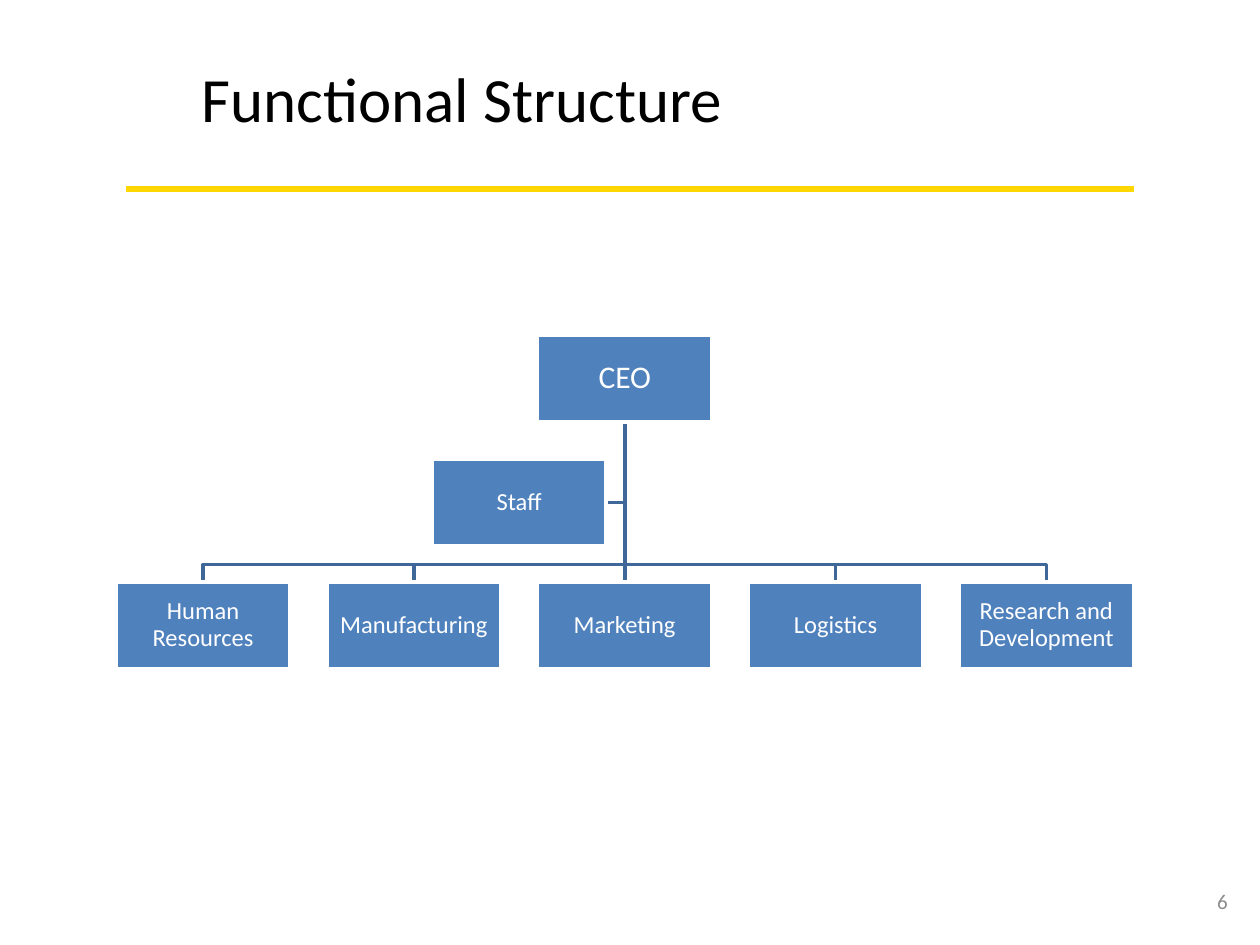
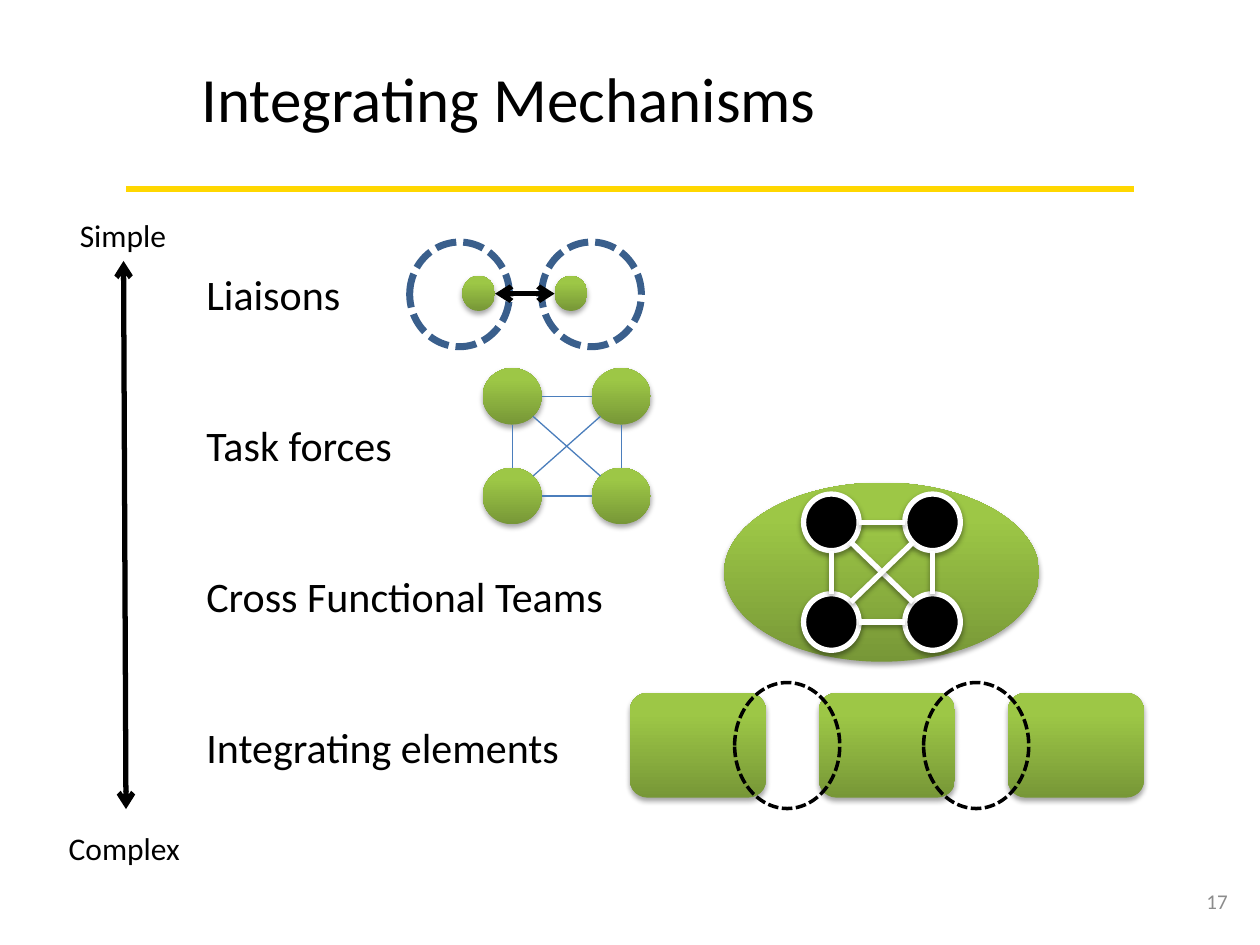
from itertools import combinations, product
from math import sqrt

from lxml.etree import SubElement
from pptx import Presentation
from pptx.dml.color import RGBColor
from pptx.enum.dml import MSO_LINE
from pptx.enum.shapes import MSO_CONNECTOR, MSO_SHAPE as SHAPE
from pptx.enum.text import MSO_ANCHOR as ANCHOR, MSO_AUTO_SIZE, PP_ALIGN as ALIGN
from pptx.oxml.ns import qn
from pptx.util import Cm, Pt

# Shared look
FONT = "Calibri"
BLACK = RGBColor(0x00, 0x00, 0x00)
WHITE = RGBColor(0xFF, 0xFF, 0xFF)
GOLD = RGBColor(0xFF, 0xD7, 0x00)
GREY = RGBColor(0x8C, 0x8C, 0x8C)
BOX_BLUE = RGBColor(0x4F, 0x81, 0xBD)
BRANCH_BLUE = RGBColor(0x3F, 0x67, 0x97)
GROUP_BLUE = RGBColor(0x3A, 0x5F, 0x8C)
LINK_BLUE = RGBColor(0x4B, 0x7E, 0xBC)
GREEN_DARK = RGBColor(0x77, 0x97, 0x37)
GREEN_LIGHT = RGBColor(0x9D, 0xC7, 0x46)

# Shadow settings: opacity in percent, distance in points
SOFT_SHADOW = (35, 1.8)
STRONG_SHADOW = (38, 1.6)

# Organisation chart, in cm
BOX_W, BOX_H = 3.51, 1.75
FIRST_LEFT, COLUMN_STEP = 2.34, 4.25
CEO_TOP, STAFF_TOP, BRANCH_Y, DEPARTMENT_TOP = 6.76, 9.25, 11.38, 11.73
STAFF_LEFT = 8.71
DEPARTMENTS = ["Human Resources", "Manufacturing", "Marketing", "Logistics",
               "Research and Development"]

MECHANISMS = ["Liaisons", "Task forces", "Cross Functional Teams",
              "Integrating elements"]


def set_effects(item, shadow=None):
    """Replace the theme shadow by the given one, or by none."""
    effects = SubElement(item._element.spPr, qn("a:effectLst"))
    if shadow:
        opacity, distance = shadow
        outer = SubElement(effects, qn("a:outerShdw"), blurRad=str(Pt(3.1)),
                           dist=str(Pt(distance)), dir="5400000", rotWithShape="0")
        colour = SubElement(outer, qn("a:srgbClr"), val=str(BLACK))
        SubElement(colour, qn("a:alpha"), val=str(opacity * 1000))


def format_text(frame, lines, size, colour=BLACK, align=ALIGN.LEFT,
                anchor=ANCHOR.TOP, wrap=False):
    frame.text = "\n".join(lines)
    frame.word_wrap = wrap
    frame.auto_size = MSO_AUTO_SIZE.NONE
    frame.vertical_anchor = anchor
    for paragraph in frame.paragraphs:
        paragraph.alignment = align
        paragraph.font.name = FONT
        paragraph.font.size = Pt(size)
        paragraph.font.color.rgb = colour


def add_label(slide, left, top, width, height, lines, size, **style):
    label = slide.shapes.add_textbox(Cm(left), Cm(top), Cm(width), Cm(height))
    format_text(label.text_frame, lines, size, **style)
    return label.text_frame


def add_line(slide, start, end, colour, width, arrows=False, shadow=None):
    points = [Cm(value) for value in (*start, *end)]
    line = slide.shapes.add_connector(MSO_CONNECTOR.STRAIGHT, *points)
    line.line.color.rgb = colour
    line.line.width = Pt(width)
    if arrows:
        outline = line._element.spPr.find(qn("a:ln"))
        for end_tag in ("a:headEnd", "a:tailEnd"):
            SubElement(outline, qn(end_tag), type="arrow")
    set_effects(line, shadow)


def add_path(slide, points, colour, width):
    start, *corners = [(Cm(x), Cm(y)) for x, y in points]
    builder = slide.shapes.build_freeform(*start)
    builder.add_line_segments(corners, close=False)
    path = builder.convert_to_shape()
    path.fill.background()
    path.line.color.rgb = colour
    path.line.width = Pt(width)
    set_effects(path)


def add_figure(slide, kind, left, top, width, height, fill=None,
               outline=None, line_width=0, dash=None, shadow=None):
    figure = slide.shapes.add_shape(kind, Cm(left), Cm(top), Cm(width), Cm(height))
    if fill is None:
        figure.fill.background()
    else:
        figure.fill.solid()
        figure.fill.fore_color.rgb = fill
    if outline is None:
        figure.line.fill.background()
    else:
        figure.line.color.rgb = outline
        figure.line.width = Pt(line_width)
        if dash:
            figure.line.dash_style = dash
    set_effects(figure, shadow)
    return figure


def add_green(slide, kind, left, top, width, height):
    green = add_figure(slide, kind, left, top, width, height, shadow=SOFT_SHADOW)
    green.fill.gradient()
    green.fill.gradient_angle = 90
    dark, light = green.fill.gradient_stops
    dark.position, dark.color.rgb = 0, GREEN_DARK
    light.position, light.color.rgb = 0.8, GREEN_LIGHT


def add_dashed_oval(slide, left, top, width, height, colour, line_width):
    add_figure(slide, SHAPE.OVAL, left, top, width, height, outline=colour,
               line_width=line_width, dash=MSO_LINE.SQUARE_DOT)


def add_titled_slide(deck, heading, number):
    slide = deck.slides.add_slide(deck.slide_layouts[5])
    title = slide.shapes.title
    title.left, title.top, title.width, title.height = Cm(3.81), Cm(1.07), Cm(17), Cm(1.8)
    format_text(title.text_frame, [heading], 36)
    add_line(slide, (2.54, 3.81), (22.86, 3.81), GOLD, 4)
    add_label(slide, 23.93, 17.65, 1.07, 1.02, [str(number)], 12, colour=GREY,
              align=ALIGN.RIGHT, anchor=ANCHOR.MIDDLE)
    return slide


def add_org_box(slide, left, top, role, size=14):
    box = add_figure(slide, SHAPE.RECTANGLE, left, top, BOX_W, BOX_H,
                     fill=BOX_BLUE, outline=WHITE, line_width=2)
    frame = box.text_frame
    format_text(frame, [role], size, colour=WHITE, align=ALIGN.CENTER,
                anchor=ANCHOR.MIDDLE, wrap=True)
    frame.margin_left = frame.margin_right = Cm(0.03)
    frame.margin_top = frame.margin_bottom = Cm(0.03)
    frame.paragraphs[0].line_spacing = 0.9


def draw_org_chart(slide):
    lefts = [FIRST_LEFT + i * COLUMN_STEP for i in range(len(DEPARTMENTS))]
    ceo_left = lefts[len(lefts) // 2]
    trunk_x, trunk_top = ceo_left + BOX_W / 2, CEO_TOP + BOX_H
    staff_y = STAFF_TOP + BOX_H / 2

    # Branches
    add_path(slide, [(trunk_x, trunk_top), (trunk_x, staff_y),
                     (STAFF_LEFT + BOX_W, staff_y)], BRANCH_BLUE, 2)
    for left in lefts:
        x = left + BOX_W / 2
        if left == ceo_left:
            add_line(slide, (x, trunk_top), (x, DEPARTMENT_TOP), BRANCH_BLUE, 2)
        else:
            add_path(slide, [(trunk_x, trunk_top), (trunk_x, BRANCH_Y),
                             (x, BRANCH_Y), (x, DEPARTMENT_TOP)], BRANCH_BLUE, 2)

    # Boxes
    add_org_box(slide, ceo_left, CEO_TOP, "CEO", 18)
    for left, department in zip(lefts, DEPARTMENTS):
        add_org_box(slide, left, DEPARTMENT_TOP, department)
    add_org_box(slide, STAFF_LEFT, STAFF_TOP, "Staff")


def draw_links(slide, centres, width, height, colour, line_width, shadow=None):
    """Link every pair of equal ovals from edge to edge."""
    for (ax, ay), (bx, by) in combinations(centres, 2):
        side_x, side_y = (bx > ax) - (bx < ax), (by > ay) - (by < ay)
        reach = 0.5 / sqrt(abs(side_x) + abs(side_y))
        dx, dy = side_x * width * reach, side_y * height * reach
        add_line(slide, (ax + dx, ay + dy), (bx - dx, by - dy), colour,
                 line_width, shadow=shadow)


def square_of_four(left, top, step_x, step_y):
    return list(product((left, left + step_x), (top, top + step_y)))


def centres_of(corners, width, height):
    return [(x + width / 2, y + height / 2) for x, y in corners]


def draw_scale(slide):
    add_line(slide, (2.49, 5.26), (2.54, 16.31), BLACK, 3, arrows=True)
    add_label(slide, 1.35, 4.24, 2.26, 1.02, ["Simple"], 18, align=ALIGN.CENTER)
    add_label(slide, 1.12, 16.59, 2.77, 1.02, ["Complex"], 18, align=ALIGN.CENTER)


def draw_mechanism_list(slide):
    names = add_label(slide, 3.91, 5.28, 8.59, 10.52, MECHANISMS, 24)
    for paragraph in names.paragraphs[1:]:
        paragraph.space_before = Pt(57.6)


def draw_liaisons(slide):
    for left in (8.26, 10.92):
        add_dashed_oval(slide, left, 4.88, 2.01, 2.11, GROUP_BLUE, 4)
    for left in (9.32, 11.18):
        add_green(slide, SHAPE.OVAL, left, 5.56, 0.66, 0.71)
    add_line(slide, (9.98, 5.92), (11.18, 5.92), BLACK, 3, arrows=True)


def draw_task_force(slide):
    width, height = 1.19, 1.14
    corners = square_of_four(9.73, 7.42, 2.2, 2.01)
    for left, top in corners:
        add_green(slide, SHAPE.OVAL, left, top, width, height)
    draw_links(slide, centres_of(corners, width, height), width, height,
               LINK_BLUE, 0.75)


def draw_cross_functional_team(slide):
    add_green(slide, SHAPE.OVAL, 14.6, 9.73, 6.35, 3.61)
    width, height = 1.12, 1.14
    corners = square_of_four(16.2, 9.96, 2.04, 2.01)
    for left, top in corners:
        add_figure(slide, SHAPE.OVAL, left, top, width, height, fill=BLACK,
                   outline=WHITE, line_width=3, shadow=STRONG_SHADOW)
    draw_links(slide, centres_of(corners, width, height), width, height,
               WHITE, 3, STRONG_SHADOW)


def draw_integrating_elements(slide):
    step = 3.81
    for i in range(3):
        add_green(slide, SHAPE.ROUNDED_RECTANGLE, 12.7 + i * step, 13.97, 2.74, 2.11)
    for i in range(2):
        add_dashed_oval(slide, 14.81 + i * step, 13.76, 2.12, 2.54, BLACK, 2)


def main():
    deck = Presentation()
    deck.slide_width, deck.slide_height = Cm(25.4), Cm(19.05)

    structure = add_titled_slide(deck, "Functional Structure", 6)
    draw_org_chart(structure)

    integration = add_titled_slide(deck, "Integrating Mechanisms", 17)
    draw_scale(integration)
    draw_mechanism_list(integration)
    draw_liaisons(integration)
    draw_task_force(integration)
    draw_cross_functional_team(integration)
    draw_integrating_elements(integration)

    deck.save("out.pptx")


if __name__ == "__main__":
    main()
